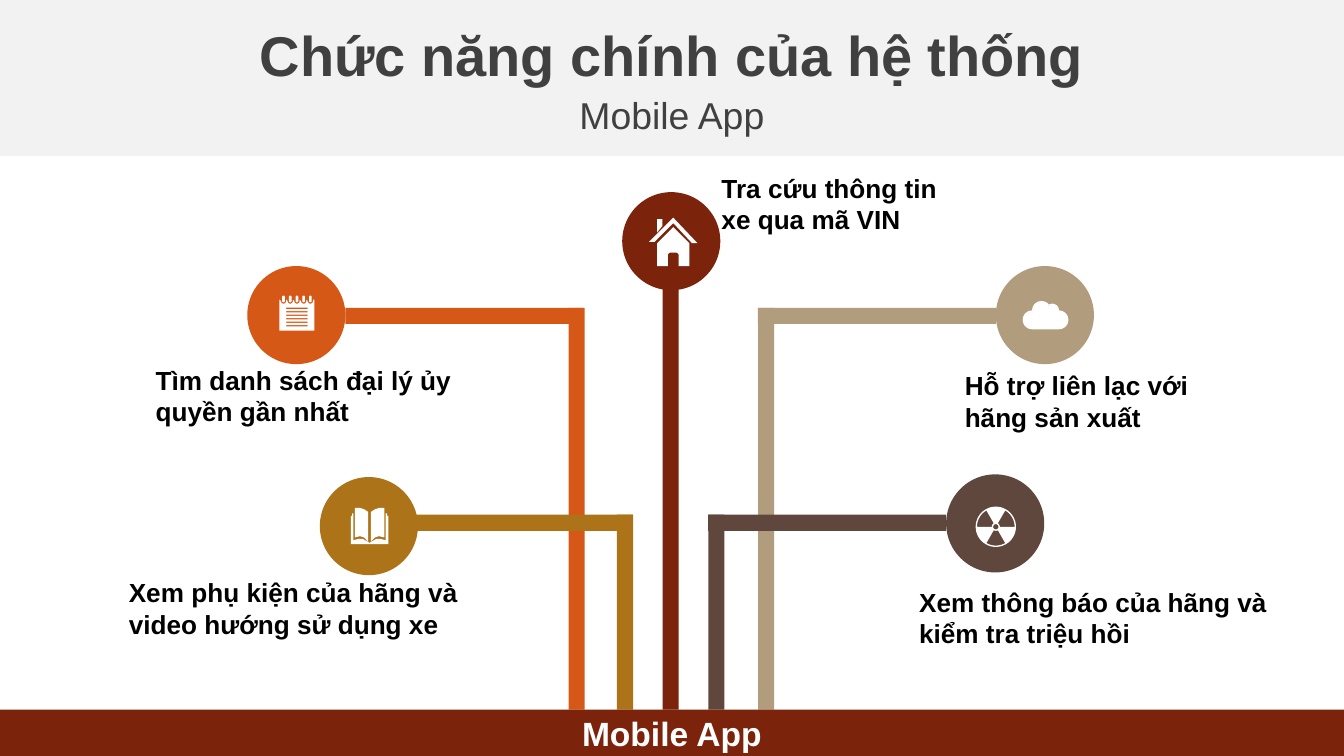
from math import cos, radians, sin

from pptx import Presentation
from pptx.dml.color import RGBColor
from pptx.enum.shapes import MSO_SHAPE as Preset
from pptx.enum.text import MSO_ANCHOR as Anchor, MSO_AUTO_SIZE as AutoSize, PP_ALIGN as Align
from pptx.util import Inches, Pt

FONT = "Arial"
WHITE, BLACK, GRAY, BAND = "FFFFFF", "000000", "404040", "F2F2F2"
ORANGE, TAN, BROWN, GOLD, RUST = "D55816", "B19C7D", "5F473E", "AD7318", "7C240B"
PAGE_W = 10
PAGE_H = PAGE_W * 9 / 16
BASE_TOP = 5.28
PIPE, ARM, DISC = 0.12, 1.77, 0.73

# color, stem left, arm left, arm top, disc left, disc top
BRANCHES = [
    (ORANGE, 4.23, 2.57, 2.29, 1.84, 1.98),
    (TAN, 5.64, 5.64, 2.29, 7.41, 1.98),
    (BROWN, 5.27, 5.27, 3.83, 7.04, 3.53),
    (GOLD, 4.59, 2.94, 3.83, 2.38, 3.55),
]
# text, left, top, width
FEATURES = [
    ("Tìm danh sách đại lý ủy quyền gần nhất", 1.06, 2.66, 2.81),
    ("Xem phụ kiện của hãng và video hướng sử dụng xe", 0.86, 4.24, 2.81),
    ("Xem thông báo của hãng và kiểm tra triệu hồi", 6.74, 4.31, 2.81),
    ("Hỗ trợ liên lạc với hãng sản xuất", 7.08, 2.7, 2.32),
    ("Tra cứu thông tin xe qua mã VIN", 5.27, 1.23, 1.93),
]


def paint(shape, color):
    shape.shadow.inherit = False
    shape.fill.solid()
    shape.fill.fore_color.rgb = RGBColor.from_string(color)
    shape.line.fill.background()


def add_solid(shapes, preset, left, top, width, height, color):
    shape = shapes.add_shape(preset, Inches(left), Inches(top), Inches(width), Inches(height))
    paint(shape, color)
    return shape


def write(shape, text, size, color, bold=True, align=Align.CENTER):
    frame = shape.text_frame
    frame.word_wrap = True
    frame.vertical_anchor = Anchor.MIDDLE
    paragraph = frame.paragraphs[0]
    paragraph.alignment = align
    run = paragraph.add_run()
    run.text = text
    run.font.name = FONT
    run.font.size = Pt(size)
    run.font.bold = bold
    run.font.color.rgb = RGBColor.from_string(color)


def add_text(shapes, text, left, top, width, height, size, color, **style):
    box = shapes.add_textbox(Inches(left), Inches(top), Inches(width), Inches(height))
    write(box, text, size, color, **style)
    return box


def add_feature(shapes, text, left, top, width):
    label = add_text(shapes, text, left, top, width, 0.57, 14, BLACK, align=Align.LEFT)
    label.text_frame.auto_size = AutoSize.SHAPE_TO_FIT_TEXT


def add_branch(shapes, color, stem_left, arm_left, arm_top, disc_left, disc_top):
    parts = shapes.add_group_shape().shapes
    add_solid(parts, Preset.RECTANGLE, stem_left, arm_top, PIPE, BASE_TOP - arm_top, color)
    add_solid(parts, Preset.RECTANGLE, arm_left, arm_top, ARM, PIPE, color)
    add_solid(parts, Preset.OVAL, disc_left, disc_top, DISC, DISC, color)


def add_trunk(shapes):
    parts = shapes.add_group_shape().shapes
    add_solid(parts, Preset.RECTANGLE, 4.93, 1.74, PIPE, BASE_TOP - 1.74, RUST)
    add_solid(parts, Preset.OVAL, 4.63, 1.43, DISC, DISC, RUST)


def add_icon(shapes, contours):
    """Draw closed contours as one white outline; inner contours become holes."""
    contours = [[(Inches(x), Inches(y)) for x, y in contour] for contour in contours]
    builder = shapes.build_freeform(*contours[0][0])
    for i, contour in enumerate(contours):
        if i:
            builder.move_to(*contour[0])
        builder.add_line_segments(contour[1:], close=True)
    paint(builder.convert_to_shape(), WHITE)


def arc(x, y, radius, start, end, steps=16):
    """Points along an arc, in degrees clockwise from the right."""
    angles = [radians(start + (end - start) * i / steps) for i in range(steps + 1)]
    return [(x + radius * cos(a), y + radius * sin(a)) for a in angles]


def box(left, top, right, bottom):
    return [(left, top), (right, top), (right, bottom), (left, bottom)]


def house():
    return [
        [(5.01, 1.69), (5.13, 1.81), (5.13, 1.98), (5.05, 1.98)]
        + arc(5.03, 1.9, 0.02, 0, -90) + arc(4.99, 1.9, 0.02, 270, 180)
        + [(4.97, 1.98), (4.89, 1.98), (4.89, 1.81)],
        [(4.89, 1.63), (4.93, 1.63), (4.93, 1.68), (4.89, 1.73)],
        [(5.01, 1.62), (5.19, 1.81), (5.15, 1.81), (5.01, 1.66), (4.87, 1.8), (4.83, 1.8)],
    ]


def cloud():
    return [arc(7.68, 2.38, 0.07, 90, 270) + arc(7.75, 2.31, 0.07, 180, 330)
            + arc(7.83, 2.31, 0.05, 230, 350) + arc(7.88, 2.38, 0.07, 270, 450)]


def notepad():
    rings = [2.11 + 0.05 * i for i in range(5)]
    sheet = [(2.08, 2.23)]
    for x in rings:
        sheet += arc(x, 2.24, 0.02, 180, 0) + [(x + 0.02, 2.23)]
    sheet += [(2.34, 2.23), (2.34, 2.46), (2.08, 2.46)]
    lines = [box(2.13, y, 2.29, y + 0.01) for y in (2.29 + 0.13 * i / 5 for i in range(6))]
    pills = [arc(x, 2.21, 0.01, 180, 360) + arc(x, 2.24, 0.01, 0, 180) for x in rings]
    return [sheet] + lines + pills


def radiation():
    x, y = 7.41, 3.92
    blades = [arc(x, y, 0.14, a, a + 60) + arc(x, y, 0.03, a + 60, a) for a in (60, 180, 300)]
    return [arc(x, y, 0.15, 0, 360, 48), arc(x, y, 0.02, 0, 360)] + blades


def book():
    """Left and right halves mirrored about the spine."""
    spine = 2.75
    leaf = [(0.01, 3.81), (0.04, 3.79), (0.07, 3.78), (0.11, 3.78),
            (0.11, 4), (0.07, 3.99), (0.04, 4), (0.01, 4.03)]
    cover = [(0.12, 3.82), (0.13, 3.82), (0.13, 3.84), (0.14, 3.84), (0.14, 4.05),
             (0, 4.05), (0, 4.04), (0.05, 4.01), (0.08, 4.01), (0.12, 4.02)]
    return [[(spine + side * x, y) for x, y in half] for side in (-1, 1) for half in (leaf, cover)]


def main():
    deck = Presentation()
    deck.slide_width, deck.slide_height = Inches(PAGE_W), Inches(PAGE_H)
    shapes = deck.slides.add_slide(deck.slide_layouts[6]).shapes

    add_solid(shapes, Preset.RECTANGLE, 0, 0, PAGE_W, 1.16, BAND)
    add_text(shapes, "Chức năng chính của hệ thống", 0, 0.14, PAGE_W, 0.52, 30, GRAY)
    add_text(shapes, "Mobile App", 0, 0.61, PAGE_W, 0.49, 20, GRAY, bold=False)

    for branch in BRANCHES:
        add_branch(shapes, *branch)
    for feature in FEATURES:
        add_feature(shapes, *feature)
    base = add_solid(shapes, Preset.RECTANGLE, 0, BASE_TOP, PAGE_W, 0.35, RUST)
    write(base, "Mobile App", 18, WHITE)
    add_trunk(shapes)

    for icon in (book, cloud, notepad, radiation, house):
        add_icon(shapes, icon())

    deck.save("out.pptx")


if __name__ == "__main__":
    main()
